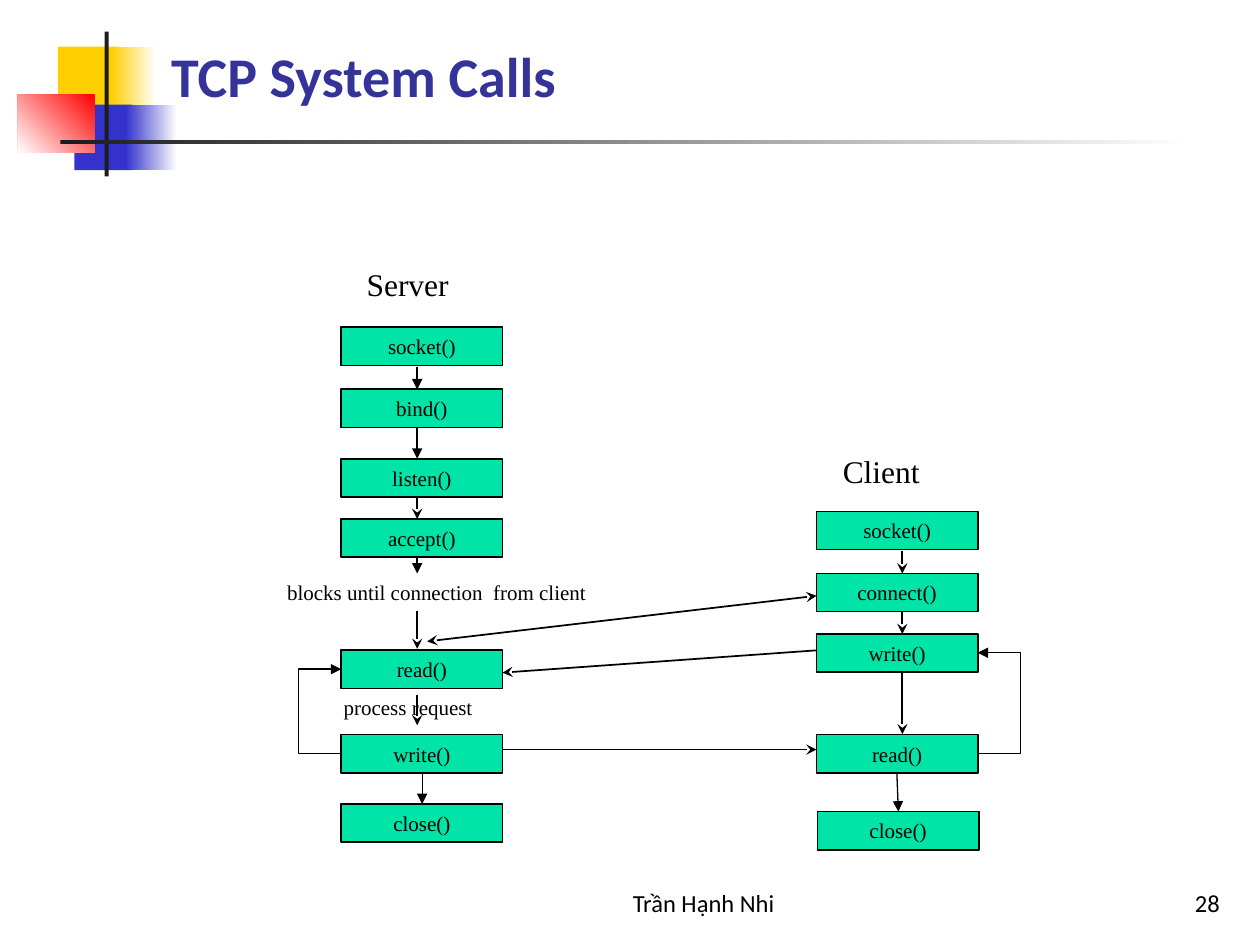
from lxml.etree import SubElement
from pptx import Presentation
from pptx.dml.color import RGBColor
from pptx.enum.shapes import MSO_CONNECTOR, MSO_SHAPE
from pptx.enum.text import MSO_ANCHOR as Anchor, PP_ALIGN as Align
from pptx.oxml.ns import qn
from pptx.util import Cm, Pt

WHITE = RGBColor(0xFF, 0xFF, 0xFF)
BLACK = RGBColor(0x00, 0x00, 0x00)
YELLOW = RGBColor(0xFF, 0xCF, 0x01)
BLUE = RGBColor(0x33, 0x33, 0xCC)
RED = RGBColor(0xFF, 0x00, 0x00)
CHARCOAL = RGBColor(0x1C, 0x1C, 0x1C)
NAVY = RGBColor(0x33, 0x33, 0x99)
GREEN = RGBColor(0x00, 0xE4, 0xA8)
SERIF, SANS = "Times New Roman", "Calibri"


def write(shape, text, size, font, color=BLACK, align=Align.LEFT,
          anchor=Anchor.TOP, bold=False, wrap=True):
    frame = shape.text_frame
    frame.text = text
    frame.word_wrap = wrap
    frame.vertical_anchor = anchor
    paragraph = frame.paragraphs[0]
    paragraph.alignment = align
    run_font = paragraph.runs[0].font
    run_font.size, run_font.name, run_font.bold = Pt(size), font, bold
    run_font.color.rgb = color


def style_arrow(arrow, width, tail, head=None):
    """Black line; tail is the arrowhead at its end, head the one at its start."""
    arrow.line.color.rgb = BLACK
    arrow.line.width = Pt(width)
    line = arrow.line._get_or_add_ln()
    if head:
        SubElement(line, qn("a:headEnd"), type=head)
    SubElement(line, qn("a:tailEnd"), type=tail)
    SubElement(arrow._element.spPr, qn("a:effectLst"))


prs = Presentation()
prs.slide_width, prs.slide_height = Cm(25.4), Cm(19.05)
slide = prs.slides.add_slide(prs.slide_layouts[6])
shapes = slide.shapes

# Title ornament: left, top, width, height, colour, angle of the fade to white
ornament = [
    (1.17, 0.94, 1.22, 1.32, YELLOW, None),
    (2.24, 0.94, 0.91, 1.32, YELLOW, 0),
    (1.5, 2.11, 1.17, 1.32, BLUE, None),
    (2.54, 2.11, 1.02, 1.32, BLUE, 0),
    (0.36, 1.9, 1.55, 1.17, RED, 225),
    (2.11, 0.64, 0.08, 2.92, CHARCOAL, None),
    (1.22, 2.82, 22.86, 0.08, CHARCOAL, 0),
]
for left, top, width, height, color, fade_angle in ornament:
    block = shapes.add_shape(MSO_SHAPE.RECTANGLE, Cm(left), Cm(top), Cm(width), Cm(height))
    block.shadow.inherit = False
    block.line.fill.background()
    if fade_angle is None:
        block.fill.solid()
        block.fill.fore_color.rgb = color
    else:
        block.fill.gradient()
        block.fill.gradient_angle = fade_angle
        for stop, stop_color in zip(block.fill.gradient_stops, (color, WHITE)):
            stop.color.rgb = stop_color

# Calls of each side: name, left, top
SERVER_X, CLIENT_X = 6.88, 16.46
CALL_W, CALL_H = 3.25, 0.77
calls = [
    ("socket()", SERVER_X, 6.6),
    ("bind()", SERVER_X, 7.85),
    ("listen()", SERVER_X, 9.25),
    ("accept()", SERVER_X, 10.46),
    ("read()", SERVER_X, 13.11),
    ("write()", SERVER_X, 14.81),
    ("close()", SERVER_X, 16.21),
    ("socket()", CLIENT_X, 10.31),
    ("connect()", CLIENT_X, 11.56),
    ("write()", CLIENT_X, 12.78),
    ("read()", CLIENT_X, 14.81),
    ("close()", CLIENT_X + 0.02, 16.36),
]
for name, left, top in calls:
    call = shapes.add_shape(MSO_SHAPE.RECTANGLE, Cm(left), Cm(top), Cm(CALL_W), Cm(CALL_H))
    call.shadow.inherit = False
    call.fill.solid()
    call.fill.fore_color.rgb = GREEN
    call.line.color.rgb = BLACK
    call.line.width = Pt(1)
    write(call, name, 12, SERIF, align=Align.CENTER, anchor=Anchor.MIDDLE, wrap=False)

# Straight arrows: start, end, line width, arrowhead, arrowhead at the start
SERVER_FLOW, CLIENT_FLOW = 8.41, 18.19
SERVER_EDGE = SERVER_X + CALL_W
CLIENT_EDGE = CLIENT_X + CALL_W
arrows = [
    (SERVER_FLOW, 7.39, SERVER_FLOW, 7.85, 1, "triangle", None),
    (SERVER_FLOW, 8.62, SERVER_FLOW, 9.25, 1, "triangle", None),
    (SERVER_FLOW, 10.01, SERVER_FLOW, 10.46, 1, "stealth", None),
    (SERVER_FLOW, 11.25, SERVER_FLOW, 11.56, 1, "triangle", None),
    (SERVER_FLOW, 12.32, SERVER_FLOW, 13.08, 1, "stealth", None),
    (SERVER_FLOW, 14.02, SERVER_FLOW, 14.62, 1, "stealth", None),
    (8.51, 15.57, 8.51, 16.21, 0.75, "triangle", None),
    (CLIENT_FLOW, 11.1, CLIENT_FLOW, 11.56, 1, "stealth", None),
    (CLIENT_FLOW, 12.32, CLIENT_FLOW, 12.78, 1, "stealth", None),
    (CLIENT_FLOW, 13.56, CLIENT_FLOW, 14.8, 1, "stealth", None),
    (18.08, 15.57, 18.11, 16.36, 0.75, "triangle", None),
    (8.61, 12.93, CLIENT_X, 12.01, 1, "stealth", "stealth"),
    (CLIENT_X, 13.11, SERVER_EDGE, 13.56, 1, "stealth", None),
    (SERVER_EDGE, 15.11, CLIENT_X, 15.11, 1, "stealth", None),
]
for x1, y1, x2, y2, width, tail, head in arrows:
    arrow = shapes.add_connector(MSO_CONNECTOR.STRAIGHT, Cm(x1), Cm(y1), Cm(x2), Cm(y2))
    style_arrow(arrow, width, tail, head)

# Loops back to the earlier call: edge of the box, outer x, end height
LOOP_START = 15.19
for edge, outer, loop_end in [(SERVER_X, 6.02, 13.49), (CLIENT_EDGE, 20.57, 13.16)]:
    outline = shapes.build_freeform(Cm(edge), Cm(LOOP_START))
    outline.add_line_segments(
        [(Cm(outer), Cm(LOOP_START)), (Cm(outer), Cm(loop_end)), (Cm(edge), Cm(loop_end))],
        close=False)
    loop = outline.convert_to_shape()
    loop.fill.background()
    style_arrow(loop, 0.75, "triangle")

# Texts: wording, left, top, width, height, size and format
texts = [
    ("TCP System Calls", 3.2, 0.58, 21.64, 1.73, 32,
     dict(font=SANS, color=NAVY, bold=True, anchor=Anchor.BOTTOM)),
    ("Server", 7.14, 5.21, 2.77, 1.02, 18, dict(font=SERIF)),
    ("Client", 16.74, 8.99, 2.77, 1.02, 18, dict(font=SERIF)),
    ("blocks until connection  from client", 5.54, 11.56, 6.91, 0.77, 12, dict(font=SERIF)),
    ("process request", 6.68, 13.87, 4.42, 0.77, 12, dict(font=SERIF)),
    ("Trần Hạnh Nhi", 10.16, 17.35, 8.05, 1.27, 14,
     dict(font=SANS, align=Align.CENTER, anchor=Anchor.BOTTOM)),
    ("28", 19.56, 17.35, 5.28, 1.27, 14,
     dict(font=SANS, align=Align.RIGHT, anchor=Anchor.BOTTOM)),
]
for wording, left, top, width, height, size, text_format in texts:
    label = shapes.add_textbox(Cm(left), Cm(top), Cm(width), Cm(height))
    write(label, wording, size, **text_format)

prs.save("out.pptx")
